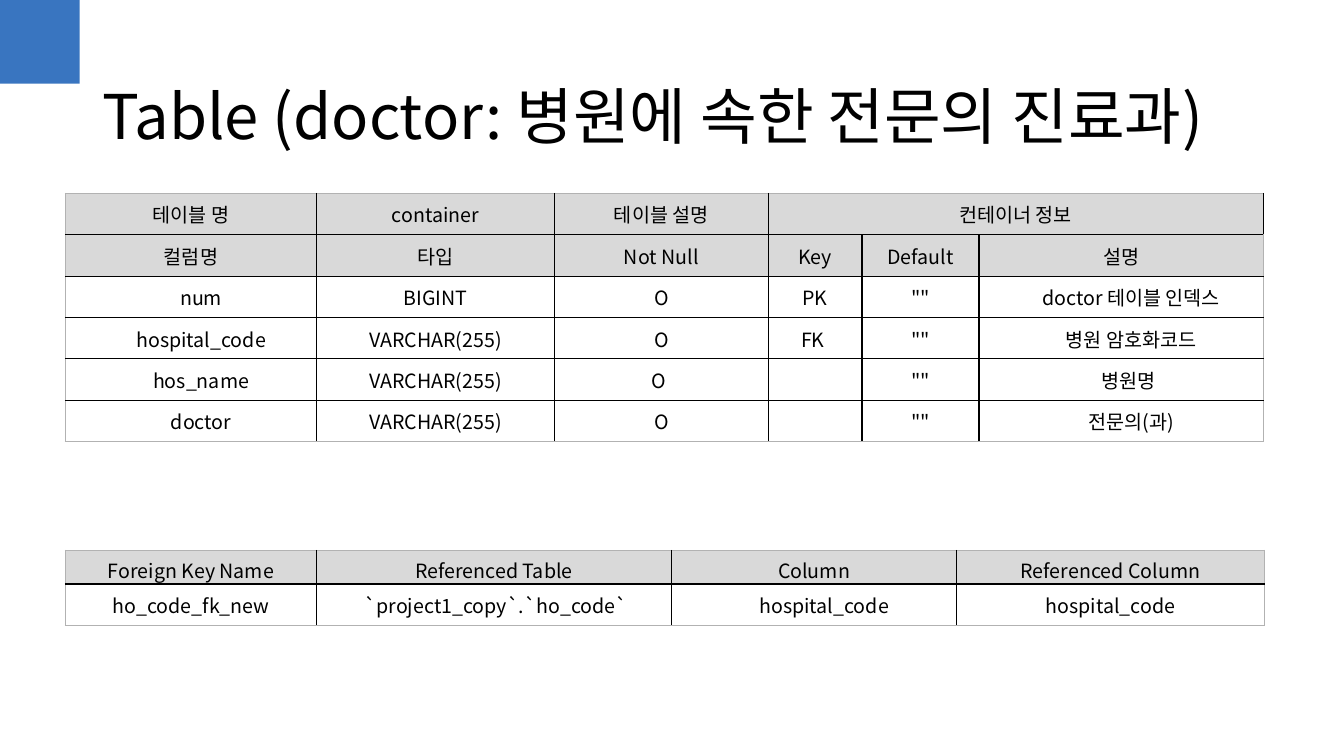
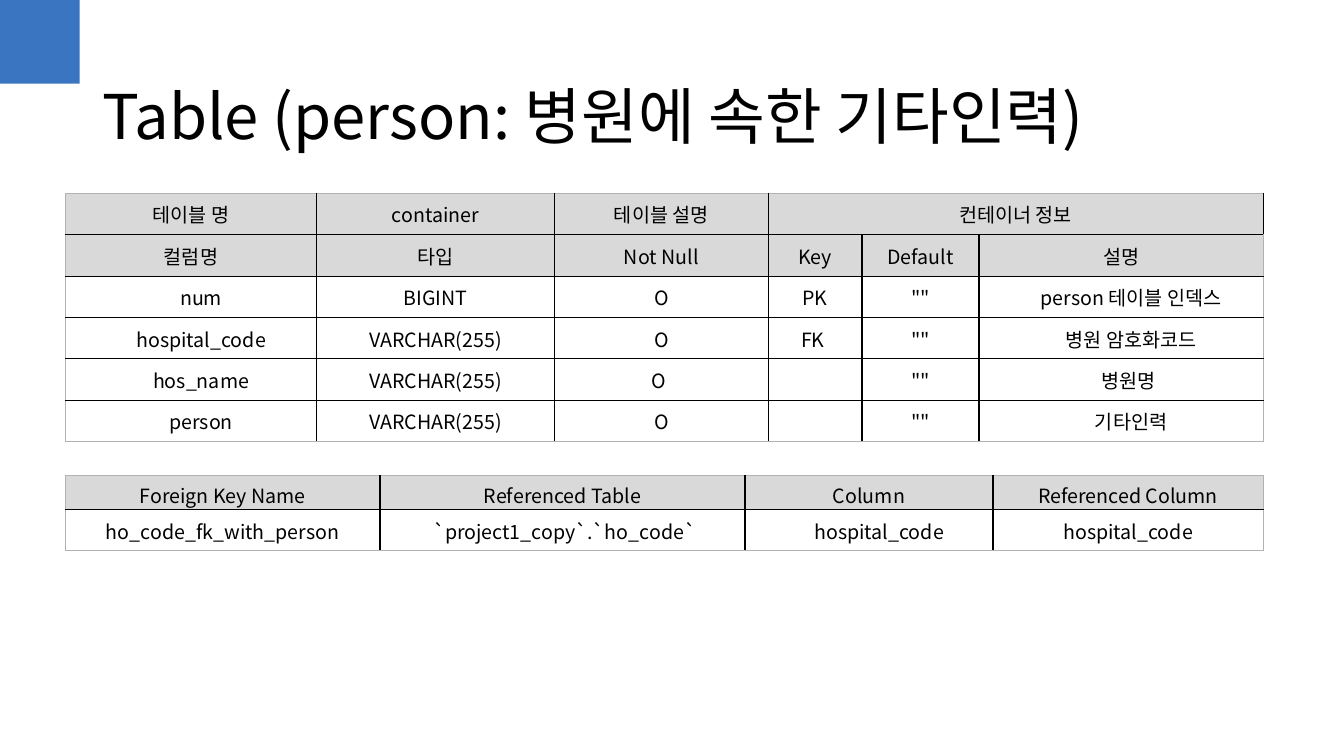
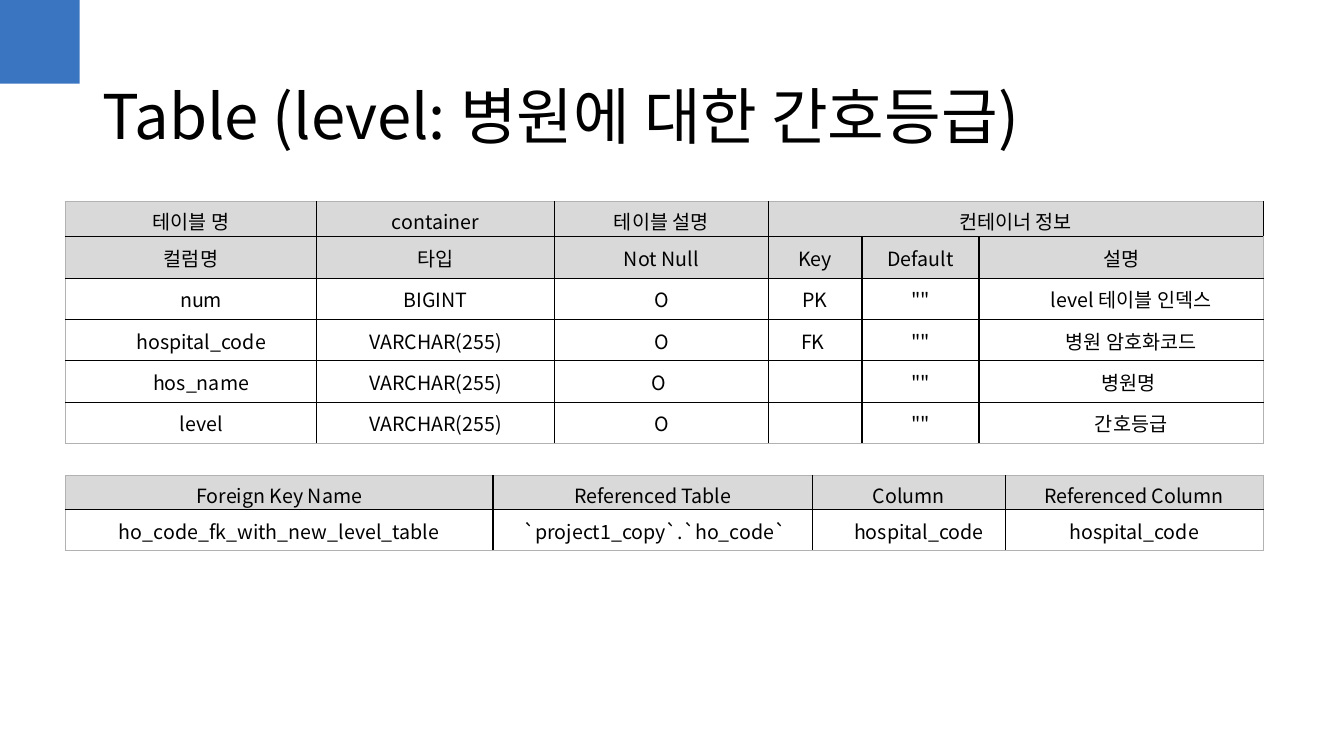
import lxml.etree
import pptx
import pptx.dml.color
import pptx.enum.shapes
import pptx.enum.text
import pptx.oxml.ns
import pptx.util

FACE = "Noto Sans CJK KR"
INK, EDGE, BLUE, GREY, WHITE = "000000", "B2B2B2", "3975C0", "D9D9D9", "FFFFFF"
LEFT, INDENT = 65, 20
MAIN = [249, 236, 212, 93, 116, 282]


def px(n):
    """Turn px, a hundred to the inch, into EMU."""
    return pptx.util.Emu(n * 9144)


def rgb(code):
    """Make a colour from a hex string."""
    return pptx.dml.color.RGBColor.from_string(code)


def sub(node, tag, **attrs):
    """Add a child element to a node."""
    return lxml.etree.SubElement(node, pptx.oxml.ns.qn(tag), attrs)


def style(para, size):
    """Set the shared face and ink on a paragraph."""
    font = para.font
    font.size = pptx.util.Pt(size)
    font.color.rgb = rgb(INK)
    font.name = FACE
    props = para._p.pPr.find(pptx.oxml.ns.qn("a:defRPr"))
    sub(props, "a:ea", typeface=FACE)


def rule(cell, sides):
    """Draw the four borders of a cell, left, right, top, bottom."""
    props = cell._tc.get_or_add_tcPr()
    for spot, (side, code) in enumerate(zip("LRTB", sides)):
        line = sub(props, "a:ln" + side, w=str(pptx.util.Pt(1)))
        sub(sub(line, "a:solidFill"), "a:srgbClr", val=code)
        props.insert(spot, line)


def write(cell, text, head, indent):
    """Fill one cell with centred text."""
    cell.fill.solid()
    cell.fill.fore_color.rgb = rgb(GREY if head else WHITE)
    cell.vertical_anchor = pptx.enum.text.MSO_ANCHOR.MIDDLE
    cell.text = text
    para = cell.text_frame.paragraphs[0]
    para.alignment = pptx.enum.text.PP_ALIGN.CENTER
    if indent:
        para._p.get_or_add_pPr().set("marL", str(px(INDENT)))
    style(para, 14)


def grid(slide, top, cols, highs, rows, heads, shift):
    """Add a table with grey head rows and shifted body columns."""
    frame = slide.shapes.add_table(
        len(rows), len(cols), px(LEFT), px(top), px(sum(cols)), px(sum(highs)))
    table = frame.table
    table.first_row = table.horz_banding = False
    for col, wide in zip(table.columns, cols):
        col.width = px(wide)
    for row, high in zip(table.rows, highs):
        row.height = px(high)
    for r, texts in enumerate(rows):
        for c, text in enumerate(texts):
            cell = table.cell(r, c)
            write(cell, text, r < heads, r >= heads and c in shift)
            if r:
                cell.margin_left = cell.margin_top = cell.margin_right = px(1)
                cell.margin_bottom = 0
            outer = (c == 0, c == len(cols) - 1, r == 0, r == len(rows) - 1)
            rule(cell, [EDGE if out else INK for out in outer])
    return table


def schema(slide, top, first, name, note):
    """Add the table of columns."""
    rows = [
        ["테이블 명", "container", "테이블 설명", "컨테이너 정보", "", ""],
        ["컬럼명", "타입", "Not Null", "Key", "Default", "설명"],
        ["num", "BIGINT", "O", "PK", '""', f"{name} 테이블 인덱스"],
        ["hospital_code", "VARCHAR(255)", "O", "FK ", '""', "병원 암호화코드"],
        ["hos_name", "VARCHAR(255)", "O ", "", '""', "병원명 "],
        [name, "VARCHAR(255)", "O", "", '""', note],
    ]
    table = grid(slide, top, MAIN, [first] + [41] * 5, rows, 2, (0, 5))
    table.cell(0, 3).merge(table.cell(0, 5))


def foreign(slide, top, cols, key):
    """Add the table of foreign keys."""
    rows = [
        ["Foreign Key Name", "Referenced Table", "Column", "Referenced Column"],
        [key, " `project1_copy`.`ho_code`", "hospital_code", "hospital_code"],
    ]
    grid(slide, top, cols, [31, 41], rows, 1, (2,))


def page(deck, title, wide):
    """Add a slide with the corner block and the title."""
    slide = deck.slides.add_slide(deck.slide_layouts[6])
    block = slide.shapes.add_shape(
        pptx.enum.shapes.MSO_SHAPE.RECTANGLE, 0, 0, px(79), px(83))
    block.shadow.inherit = False
    block.fill.solid()
    block.fill.fore_color.rgb = rgb(BLUE)
    block.line.fill.background()
    frame = slide.shapes.add_textbox(px(92), px(35), px(wide), px(145)).text_frame
    frame.word_wrap = True
    frame.vertical_anchor = pptx.enum.text.MSO_ANCHOR.MIDDLE
    para = frame.paragraphs[0]
    para.text = title
    para.line_spacing = 1.18
    style(para, 44)
    return slide


def main():
    """Build and save the deck."""
    deck = pptx.Presentation()
    deck.slide_width, deck.slide_height = px(1333), px(750)

    slide = page(deck, "Table (doctor: 병원에 속한 전문의 진료과)", 1242)
    schema(slide, 192, 41, "doctor", "전문의(과)")
    foreign(slide, 546, [249, 352, 283, 305], "ho_code_fk_new")

    slide = page(deck, "Table (person: 병원에 속한 기타인력)", 1150)
    schema(slide, 192, 41, "person", "기타인력")
    foreign(slide, 472, [312, 362, 246, 268], "ho_code_fk_with_person")

    slide = page(deck, "Table (level: 병원에 대한 간호등급)", 1150)
    schema(slide, 200, 35, "level", "간호등급")
    foreign(slide, 472, [424, 317, 191, 256], "ho_code_fk_with_new_level_table")

    deck.save("out.pptx")


if __name__ == "__main__":
    main()
